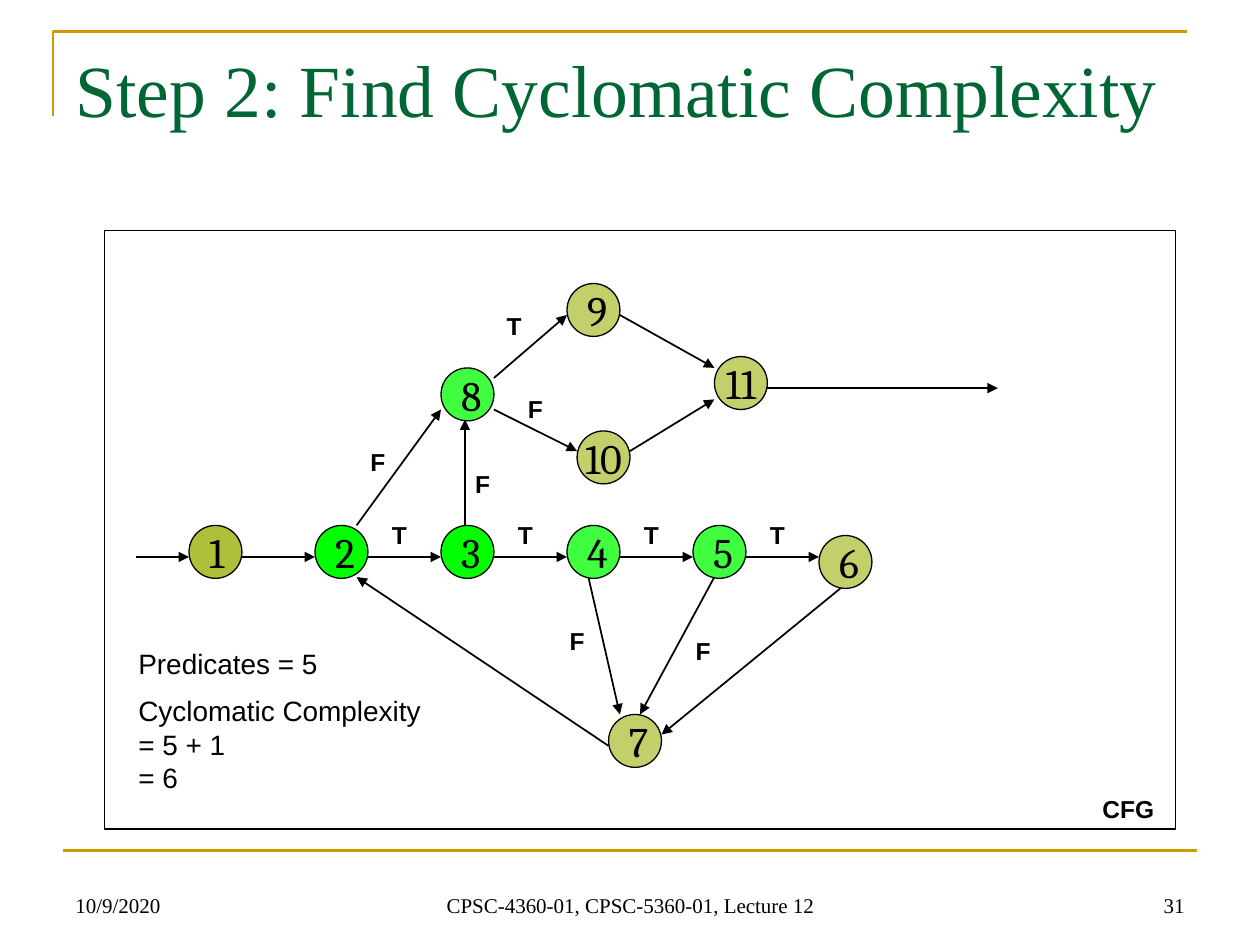
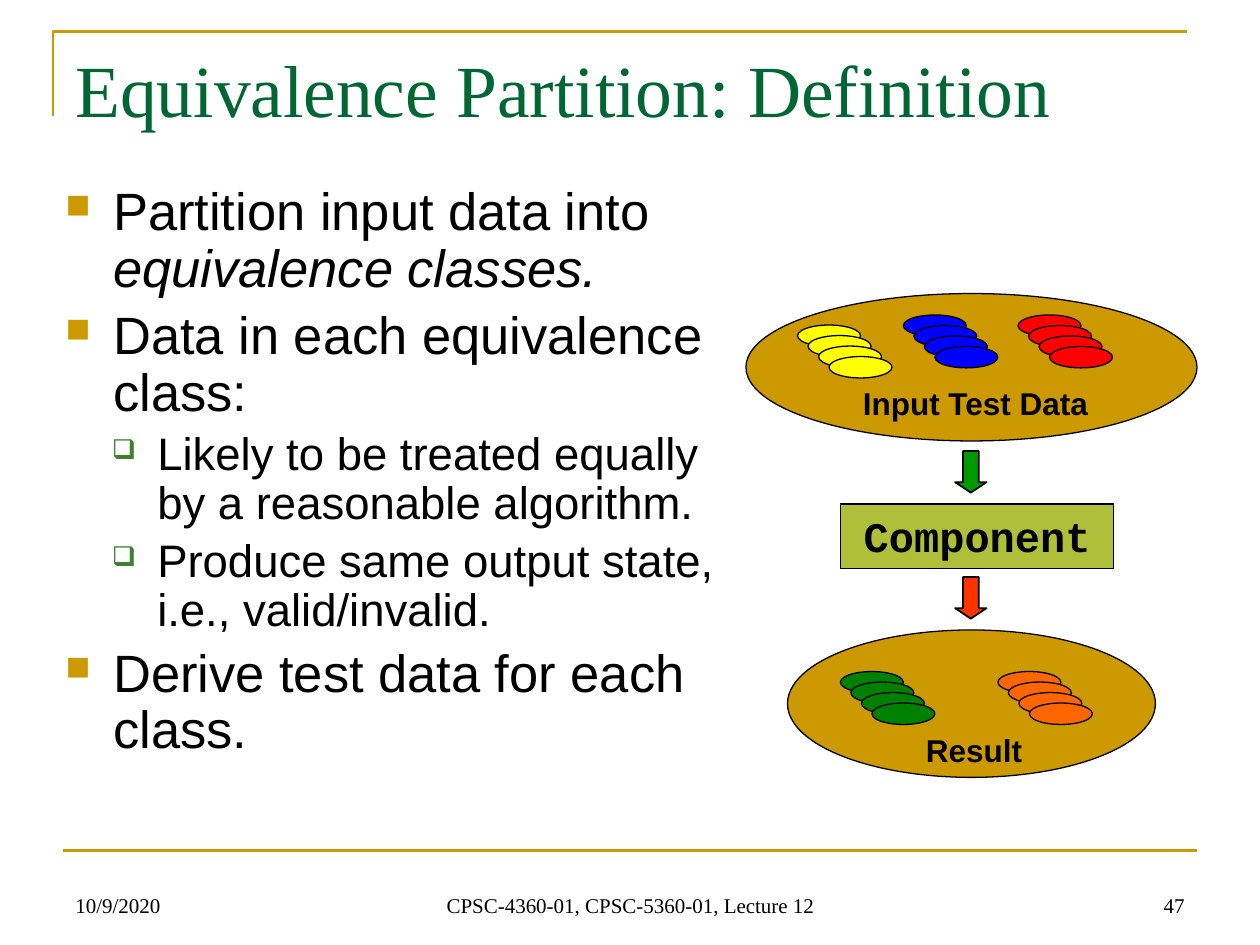
from lxml.etree import SubElement
from pptx import Presentation
from pptx.dml.color import RGBColor
from pptx.enum.shapes import MSO_CONNECTOR, MSO_SHAPE
from pptx.enum.text import MSO_ANCHOR, PP_ALIGN
from pptx.oxml.ns import qn
from pptx.util import Inches, Pt

GOLD, GREEN, OLIVE, LIME, BLACK = "CC9900", "006633", "AFBF39", "00FF00", "000000"
SERIF, SANS, MONO, DIGITS = "Times New Roman", "Arial", "Courier New", "Cambria"
LEFT, CENTER, RIGHT = PP_ALIGN.LEFT, PP_ALIGN.CENTER, PP_ALIGN.RIGHT
FOOTER = "CPSC-4360-01, CPSC-5360-01, Lecture 12"
NODE_SIZE = 0.42
LABEL_WIDTH, LABEL_HEIGHT = 0.5, 0.33
MAIN_ROW = 4.42

NODES = [
    (1, 1.5, 4.17, OLIVE, 100),
    (2, 2.5, 4.17, LIME, 100),
    (3, 3.5, 4.17, LIME, 100),
    (4, 4.5, 4.17, LIME, 75),
    (5, 5.5, 4.17, LIME, 75),
    (6, 6.5, 4.25, OLIVE, 75),
    (7, 4.83, 5.67, OLIVE, 75),
    (8, 3.5, 2.92, LIME, 75),
    (9, 4.5, 2.25, OLIVE, 75),
    (10, 4.58, 3.42, OLIVE, 75),
    (11, 5.67, 2.83, OLIVE, 75),
]
BRANCH_EDGES = [
    ((1.08, MAIN_ROW), (1.5, MAIN_ROW)),
    ((6.67, 4.67), (5.25, 5.83)),
    ((5.67, 4.58), (5.08, 5.67)),
    ((4.67, 4.58), (4.92, 5.67)),
    ((4.83, 5.92), (2.83, 4.58)),
    ((2.83, 4.17), (3.5, 3.25)),
    ((3.69, 4.17), (3.69, 3.33)),
    ((3.92, 3), (4.5, 2.5)),
    ((3.92, 3.25), (4.58, 3.58)),
    ((4.92, 2.5), (5.67, 2.92)),
    ((5, 3.58), (5.67, 3.17)),
    ((6.08, 3.08), (7.92, 3.08)),
]
ROW_EDGES = [((x + NODE_SIZE, MAIN_ROW), (x + 1, MAIN_ROW)) for x in (1.5, 2.5, 3.5, 4.5, 5.5)]
TRUE_LABELS = [(x, 4.08) for x in (2.92, 3.92, 4.92, 5.92)] + [(3.83, 2.42)]
FALSE_LABELS = [(4, 3.08), (2.75, 3.5), (4.33, 4.92), (5.33, 5), (3.58, 3.67)]

BULLETS = [
    (0, ["Partition input data into ", "equivalence classes."]),
    (0, ["Data in each equivalence class:"]),
    (1, ["Likely to be treated equally by a reasonable algorithm."]),
    (1, ["Produce same output state, i.e., valid/invalid."]),
    (0, ["Derive test data for each class."]),
]
BULLET_LEVELS = [
    {"size": 30, "left": 0.38, "hang": 0.38, "mark": "■", "color": GOLD, "percent": 65, "before": 6},
    {"size": 26, "left": 0.73, "hang": 0.36, "mark": "❑", "color": "3B812F", "percent": 60, "before": 5},
]
DATA_STACKS = [
    (6.33, 2.58, "FFFF00"),
    (7.17, 2.5, "0000FF"),
    (8.08, 2.5, "FF0000"),
    (6.67, 5.33, "008000"),
    (7.92, 5.33, "FF6600"),
]


def rgb(color):
    """Turn a hex string into a colour."""
    return RGBColor.from_string(color)


class LectureDeck:
    """Hold the lecture style and the slide being drawn."""

    def __init__(self):
        """Start an empty deck."""
        self.deck = Presentation()
        self.deck.slide_width, self.deck.slide_height = Inches(10), Inches(7.5)
        self.page = None

    def start_page(self, title, number):
        """Add a slide with its title, gold rules and footer."""
        self.page = self.deck.slides.add_slide(self.deck.slide_layouts[6])
        builder = self.page.shapes.build_freeform(Inches(0.42), Inches(0.92))
        corner = [(Inches(0.42), Inches(0.25)), (Inches(9.42), Inches(0.25))]
        builder.add_line_segments(corner, close=False)
        bracket = builder.convert_to_shape()
        self.paint(bracket, None, GOLD, 1.5)
        self.line((0.5, 6.75), (9.5, 6.75), GOLD, 1.5)
        footers = [
            ("10/9/2020", 0.5, 2.33, LEFT),
            (FOOTER, 3.42, 3.17, CENTER),
            (str(number), 7.17, 2.33, RIGHT),
        ]
        for text, left, width, align in footers:
            box = self.text(text, (left, 6.83, width, 0.5), 12, SERIF, align=align)
            box.text_frame.vertical_anchor = MSO_ANCHOR.BOTTOM
        self.text(title, (0.5, 0.3, 9, 1.25), 42, SERIF, GREEN)

    def paint(self, shape, fill, line=BLACK, width=0.75, opacity=100):
        """Set the fill and outline of a shape."""
        shape.shadow.inherit = False
        if fill:
            shape.fill.solid()
            shape.fill.fore_color.rgb = rgb(fill)
        else:
            shape.fill.background()
        if opacity < 100:
            tint = shape.element.spPr.find(".//" + qn("a:srgbClr"))
            SubElement(tint, qn("a:alpha"), val=str(opacity * 1000))
        shape.line.color.rgb = rgb(line)
        shape.line.width = Pt(width)

    def shape(self, kind, place, fill, width=0.75, opacity=100, group=None):
        """Draw a preset shape with a black outline."""
        holder = group or self.page
        shape = holder.shapes.add_shape(kind, *map(Inches, place))
        self.paint(shape, fill, width=width, opacity=opacity)
        return shape

    def line(self, start, end, color=BLACK, width=1, arrow=False):
        """Draw a straight line, with an arrowhead if asked."""
        line = self.page.shapes.add_connector(MSO_CONNECTOR.STRAIGHT, *map(Inches, start + end))
        line.line.color.rgb = rgb(color)
        line.line.width = Pt(width)
        properties = line.element.spPr
        if arrow:
            SubElement(properties.find(qn("a:ln")), qn("a:tailEnd"), type="triangle")
        SubElement(properties, qn("a:effectLst"))

    def style(self, para, size, font, color=BLACK, bold=False, align=LEFT):
        """Style a paragraph and its runs."""
        para.alignment = align
        for span in para.runs:
            span.font.size = Pt(size)
            span.font.name = font
            span.font.bold = bold
            span.font.color.rgb = rgb(color)

    def label(self, box, text, size, font, color=BLACK, bold=False, align=LEFT, wrap=True):
        """Put one styled paragraph into a shape."""
        box.text_frame.word_wrap = wrap
        box.text_frame.text = text
        self.style(box.text_frame.paragraphs[0], size, font, color, bold, align)

    def text(self, text, place, size, font, color=BLACK, bold=False, align=LEFT, wrap=True):
        """Add a text box with one paragraph."""
        box = self.page.shapes.add_textbox(*map(Inches, place))
        self.label(box, text, size, font, color, bold, align, wrap)
        return box

    def node(self, number, left, top, fill, opacity):
        """Draw a numbered node of the flow graph."""
        circle = self.shape(MSO_SHAPE.OVAL, (left, top, NODE_SIZE, NODE_SIZE), fill, opacity=opacity)
        circle.text_frame.vertical_anchor = MSO_ANCHOR.MIDDLE
        align = CENTER if number > 9 else LEFT
        self.label(circle, str(number), 24, DIGITS, align=align, wrap=False)

    def bullets(self, items, place):
        """Add a two-level bullet list; a second run is italic."""
        box = self.page.shapes.add_textbox(*map(Inches, place))
        frame = box.text_frame
        frame.word_wrap = True
        for index, (depth, parts) in enumerate(items):
            level = BULLET_LEVELS[depth]
            para = frame.add_paragraph() if index else frame.paragraphs[0]
            self.bullet_mark(para, level)
            para.level = depth
            para.line_spacing = 0.9
            para.space_before = Pt(level["before"] if index else 0)
            for order, part in enumerate(parts):
                span = para.add_run()
                span.text = part
                span.font.italic = order > 0
            self.style(para, level["size"], SANS)

    def bullet_mark(self, para, level):
        """Give a paragraph its hanging indent and bullet character."""
        properties = para._p.get_or_add_pPr()
        properties.set("marL", str(Inches(level["left"])))
        properties.set("indent", str(-Inches(level["hang"])))
        tint = SubElement(properties, qn("a:buClr"))
        SubElement(tint, qn("a:srgbClr"), val=level["color"])
        SubElement(properties, qn("a:buSzPct"), val=str(level["percent"] * 1000))
        SubElement(properties, qn("a:buChar"), char=level["mark"])

    def data_stack(self, left, top, fill):
        """Draw a group of four overlapping discs."""
        group = self.page.shapes.add_group_shape()
        for index in range(4):
            shift = index / 12
            self.shape(MSO_SHAPE.OVAL, (left + shift, top + shift, 0.5, 0.17), fill, group=group)

    def down_arrow(self, top, fill):
        """Draw a block arrow that points down."""
        arrow = self.shape(MSO_SHAPE.DOWN_ARROW, (7.58, top, 0.25, 0.33), fill, width=1)
        arrow.adjustments[0], arrow.adjustments[1] = 0.5, 0.33


def draw_complexity(lecture):
    """Draw the control flow graph and its complexity."""
    lecture.start_page("Step 2: Find Cyclomatic Complexity", 31)
    for node in NODES:
        lecture.node(*node)
    for start, end in ROW_EDGES + BRANCH_EDGES:
        lecture.line(start, end, arrow=True)
    lecture.shape(MSO_SHAPE.RECTANGLE, (0.83, 1.83, 8.5, 4.75), None, width=1)
    lecture.text("CFG", (8.58, 6.25, 0.75, 0.33), 14, SANS, bold=True, align=CENTER)
    for letter, places in (("T", TRUE_LABELS), ("F", FALSE_LABELS)):
        for place in places:
            area = place + (LABEL_WIDTH, LABEL_HEIGHT)
            lecture.text(letter, area, 14, SANS, bold=True, align=CENTER)
    summary = lecture.text("Predicates = 5", (1, 5.08, 2.5, 1.3), 16, SANS)
    para = summary.text_frame.add_paragraph()
    para.text = "Cyclomatic Complexity\n= 5 + 1\n= 6"
    para.space_before = Pt(8)
    lecture.style(para, 16, SANS)


def draw_partition(lecture):
    """Draw the definition and the test data diagram."""
    lecture.start_page("Equivalence Partition: Definition", 47)
    lecture.bullets(BULLETS, (0.42, 1.42, 5.5, 5.29))
    component = lecture.shape(MSO_SHAPE.RECTANGLE, (6.67, 4, 2.17, 0.51), OLIVE)
    lecture.label(component, "Component", 24, MONO, bold=True, align=CENTER)
    lecture.shape(MSO_SHAPE.OVAL, (6.25, 5, 2.92, 1.17), GOLD)
    lecture.shape(MSO_SHAPE.OVAL, (5.92, 2.33, 3.58, 1.17), GOLD)
    for stack in DATA_STACKS:
        lecture.data_stack(*stack)
    lecture.down_arrow(3.58, "009900")
    lecture.down_arrow(4.58, "FF3300")
    lecture.text("Input Test Data", (6.75, 3, 2.01, 0.4), 18, SANS, bold=True, wrap=False)
    lecture.text("Result", (7.25, 5.75, 0.97, 0.4), 18, SANS, bold=True, wrap=False)


def main():
    """Build both slides and save the deck."""
    lecture = LectureDeck()
    draw_complexity(lecture)
    draw_partition(lecture)
    lecture.deck.save("out.pptx")


if __name__ == "__main__":
    main()
